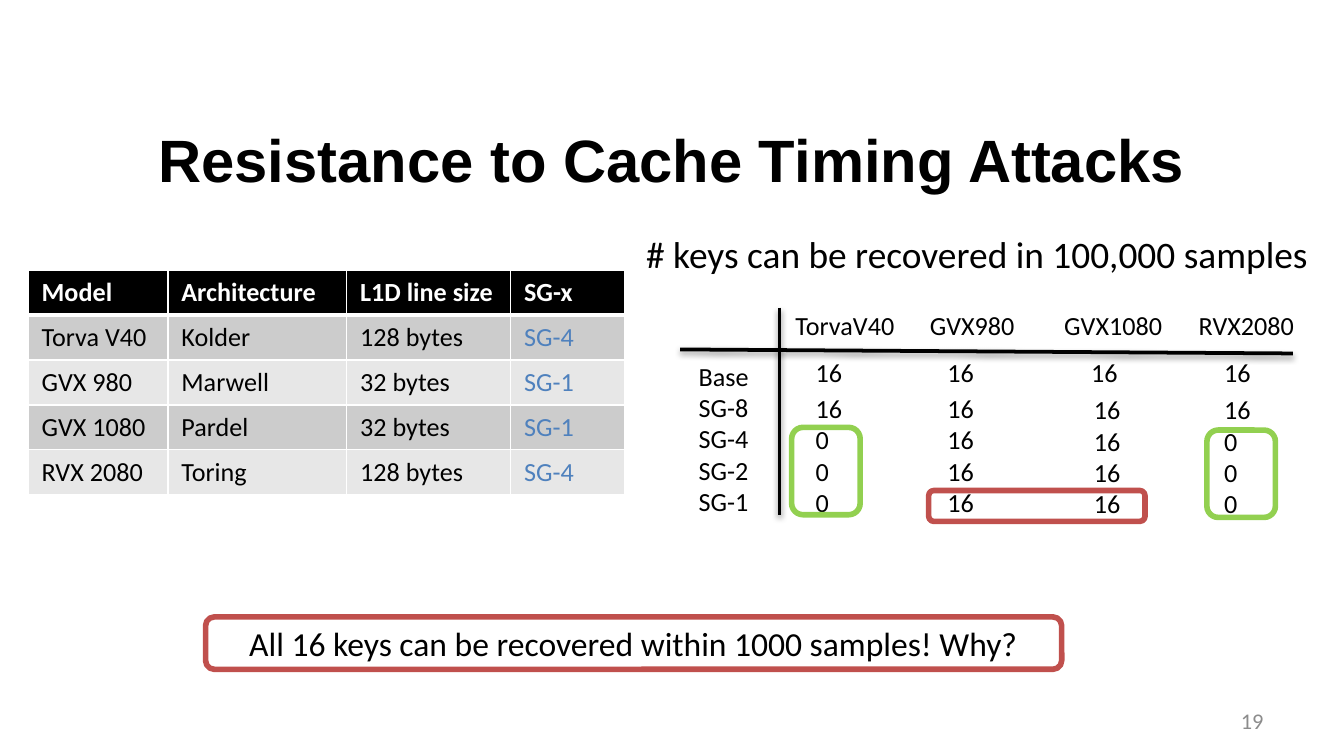
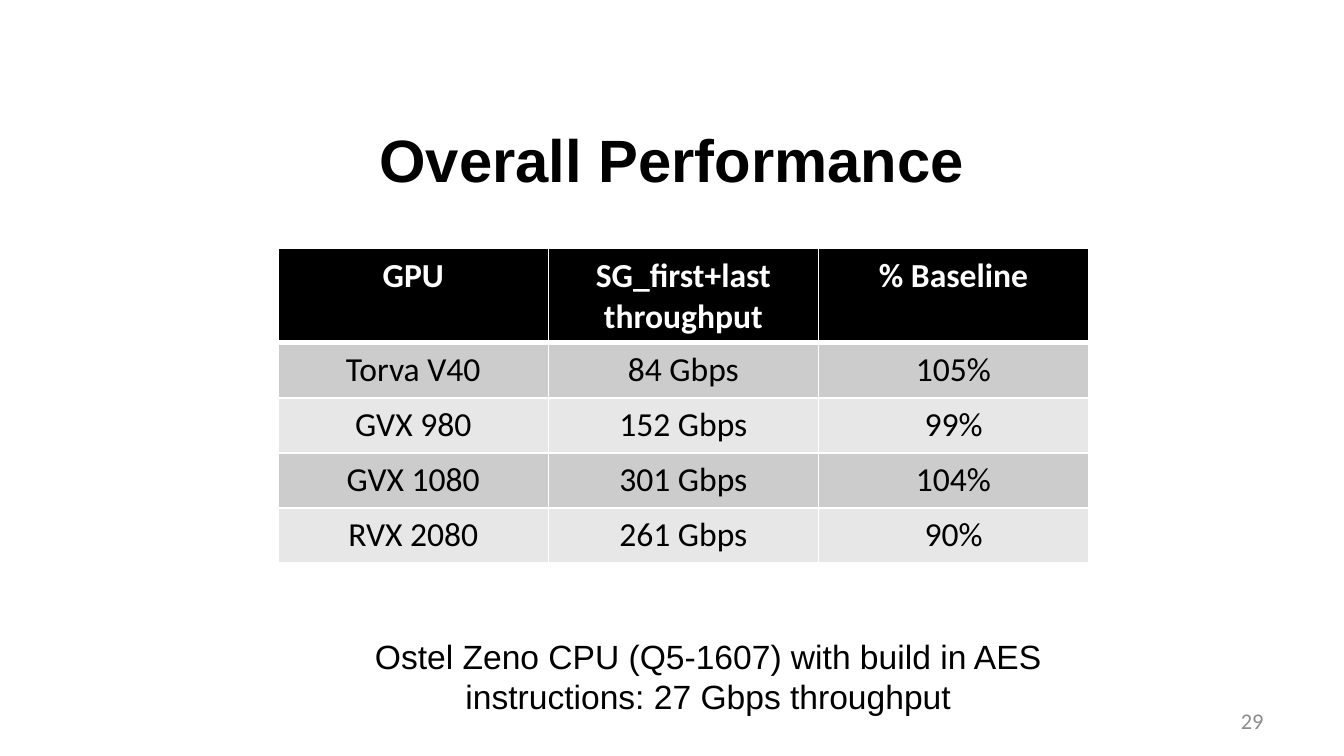
from lxml import etree
from pptx import Presentation
from pptx import util as u
from pptx.dml.color import RGBColor
from pptx.enum import shapes, text
from pptx.oxml import ns

HUES = {
    "ink": "000000", "paper": "FFFFFF", "dark": "CCCCCC", "light": "E7E7E7",
    "blue": "4F81BD", "red": "C0504D", "green": "92D050", "gray": "8C8C8C",
}
ALIGN = {
    "left": text.PP_ALIGN.LEFT, "mid": text.PP_ALIGN.CENTER,
    "right": text.PP_ALIGN.RIGHT,
}
RING, RULE = 3, 2


def hue(name):
    return RGBColor.from_string(HUES[name])


def node(top, tag, **attrs):
    """Append a drawing element and return it."""
    item = etree.SubElement(top, ns.qn(tag))
    for key, val in attrs.items():
        item.set(key, str(val))
    return item


def write(frame, words, size=14, font="Calibri", color="ink", bold=False,
          align="left", middle=False, tabs=()):
    """Fill a text frame, one paragraph per line of words."""
    frame.word_wrap = True
    if middle:
        frame.vertical_anchor = text.MSO_ANCHOR.MIDDLE
    for i, line in enumerate(words.split("\n")):
        para = frame.add_paragraph() if i else frame.paragraphs[0]
        para.alignment = ALIGN[align]
        if tabs:
            stops = node(para._p.get_or_add_pPr(), "a:tabLst")
            for stop in tabs:
                node(stops, "a:tab", pos=u.Inches(stop), algn="l")
        run = para.add_run()
        run.text = line
        run.font.size, run.font.name = u.Pt(size), font
        run.font.bold, run.font.color.rgb = bold, hue(color)


def label(home, box, words, **style):
    area = home.add_textbox(*map(u.Inches, box))
    write(area.text_frame, words, **style)


def ring(home, box, color, words=""):
    """Draw a hollow rounded frame, with text if given."""
    form = home.add_shape(shapes.MSO_SHAPE.ROUNDED_RECTANGLE,
                          *map(u.Inches, box))
    form.shadow.inherit = False
    form.fill.background()
    form.line.color.rgb, form.line.width = hue(color), u.Pt(RING)
    if words:
        write(form.text_frame, words, size=18, align="mid", middle=True)


def rule(home, *ends):
    """Draw a black line with a soft shadow below it."""
    line = home.add_connector(shapes.MSO_CONNECTOR.STRAIGHT,
                              *map(u.Inches, ends))
    line.line.color.rgb, line.line.width = hue("ink"), u.Pt(RULE)
    fx = node(line._element.spPr, "a:effectLst")
    shade = node(fx, "a:outerShdw", blurRad=u.Pt(3.1), dist=u.Pt(1.6),
                 dir=5400000, rotWithShape=0)
    node(node(shade, "a:srgbClr", val=HUES["ink"]), "a:alpha", val=38000)


def edge(cell, row):
    """Give a cell white borders, thick below the header."""
    props = cell._tc.get_or_add_tcPr()
    for side in "LRTB":
        thick = (row, side) in ((0, "B"), (1, "T"))
        line = node(props, f"a:ln{side}", w=u.Pt(3 if thick else 1))
        node(node(line, "a:solidFill"), "a:srgbClr", val=HUES["paper"])


def grid(home, box, cols, high, rows, accent=None, **style):
    """Build a striped table; accent is a column with blue text."""
    frame = home.add_table(len(rows), len(cols), *map(u.Inches, box))
    table = frame.table
    for col, wide in zip(table.columns, cols):
        col.width = u.Inches(wide)
    for r, vals in enumerate(rows):
        table.rows[r].height = u.Inches(high)
        back = "ink" if r == 0 else "dark" if r % 2 else "light"
        for c, val in enumerate(vals):
            cell = table.cell(r, c)
            edge(cell, r)
            cell.fill.solid()
            cell.fill.fore_color.rgb = hue(back)
            front = "paper" if r == 0 else "blue" if c == accent else "ink"
            write(cell.text_frame, val, color=front, bold=r == 0, **style)
    frame.height = u.Inches(box[3])


def base(deck, title, page):
    """Add a slide with its title and number; return its shapes."""
    home = deck.slides.add_slide(deck.slide_layouts[6]).shapes
    label(home, (0.5, 0.74, 9, 0.88), title, size=32, font="Arial",
          bold=True, align="mid", middle=True)
    label(home, (7.17, 5.21, 2.33, 0.3), page, size=12, color="gray",
          align="right", middle=True)
    return home


def counts(home, x, y):
    """Place the ruled matrix of recovered keys at a corner."""
    ring(home, (x + 1.85, y + 1.4, 1.61, 0.23), "red")
    part = home.add_group_shape().shapes
    rule(part, x, y + 0.35, x + 4.56, y + 0.38)
    label(part, (x + 0.76, y, 4.15, 0.34),
          "TorvaV40\tGVX980\tGVX1080\tRVX2080", tabs=(1, 2, 3))
    rule(part, x + 0.74, y + 0.04, x + 0.74, y + 1.58)
    label(part, (x + 0.04, y + 0.38, 0.7, 1.28),
          "Base\nSG-8\nSG-4\nSG-2\nSG-1")
    label(home, (x + 0.91, y + 0.35, 3.64, 0.34), "16\t16\t16\t16",
          tabs=(0.98, 2.05, 3.04))
    safe, weak = "16\n0\n0\n0", "16\n16\n16\n16"
    for dx, dy, vals in ((0.91, 0.62, safe), (1.89, 0.62, weak),
                         (2.98, 0.63, weak), (3.95, 0.63, safe)):
        label(home, (x + dx, y + dy, 0.49, 1.04), vals)
    for dx, dy in ((0.83, 0.93), (3.92, 0.95)):
        ring(home, (x + dx, y + dy, 0.51, 0.65), "green")


def attack(deck):
    home = base(deck, "Resistance to Cache Timing Attacks", "19")
    grid(home, (0.21, 2.01, 4.45, 1.67), (1.04, 1.33, 1.22, 0.85), 0.32, (
        ("Model", "Architecture", "L1D line size", "SG-x"),
        ("Torva V40", "Kolder", "128 bytes", "SG-4"),
        ("GVX 980", "Marwell", "32 bytes", "SG-1"),
        ("GVX 1080", "Pardel", "32 bytes", "SG-1"),
        ("RVX 2080", "Toring", "128 bytes", "SG-4"),
    ), accent=3)
    label(home, (4.71, 1.67, 5.51, 0.44),
          "# keys can be recovered in 100,000 samples", size=20)
    counts(home, 5.06, 2.25)
    ring(home, (1.53, 4.59, 6.37, 0.39), "red",
         "All 16 keys can be recovered within 1000 samples! Why?")


def speed(deck):
    home = base(deck, "Overall Performance", "29")
    grid(home, (2.07, 1.85, 6.03, 2.32), (2.01,) * 3, 0.41, (
        ("GPU", "SG_first+last throughput", "% Baseline"),
        ("Torva V40", "84 Gbps", "105%"),
        ("GVX 980", "152 Gbps", "99%"),
        ("GVX 1080", "301 Gbps", "104%"),
        ("RVX 2080", "261 Gbps", "90%"),
    ), size=18, align="mid")
    label(home, (2.22, 4.68, 6.1, 0.71),
          "Ostel Zeno CPU (Q5-1607) with build in AES instructions: "
          "27 Gbps throughput", size=18, font="Arial", align="mid")


def main():
    deck = Presentation()
    deck.slide_width = u.Inches(10)
    deck.slide_height = deck.slide_width * 9 // 16
    attack(deck)
    speed(deck)
    deck.save("out.pptx")


if __name__ == "__main__":
    main()
